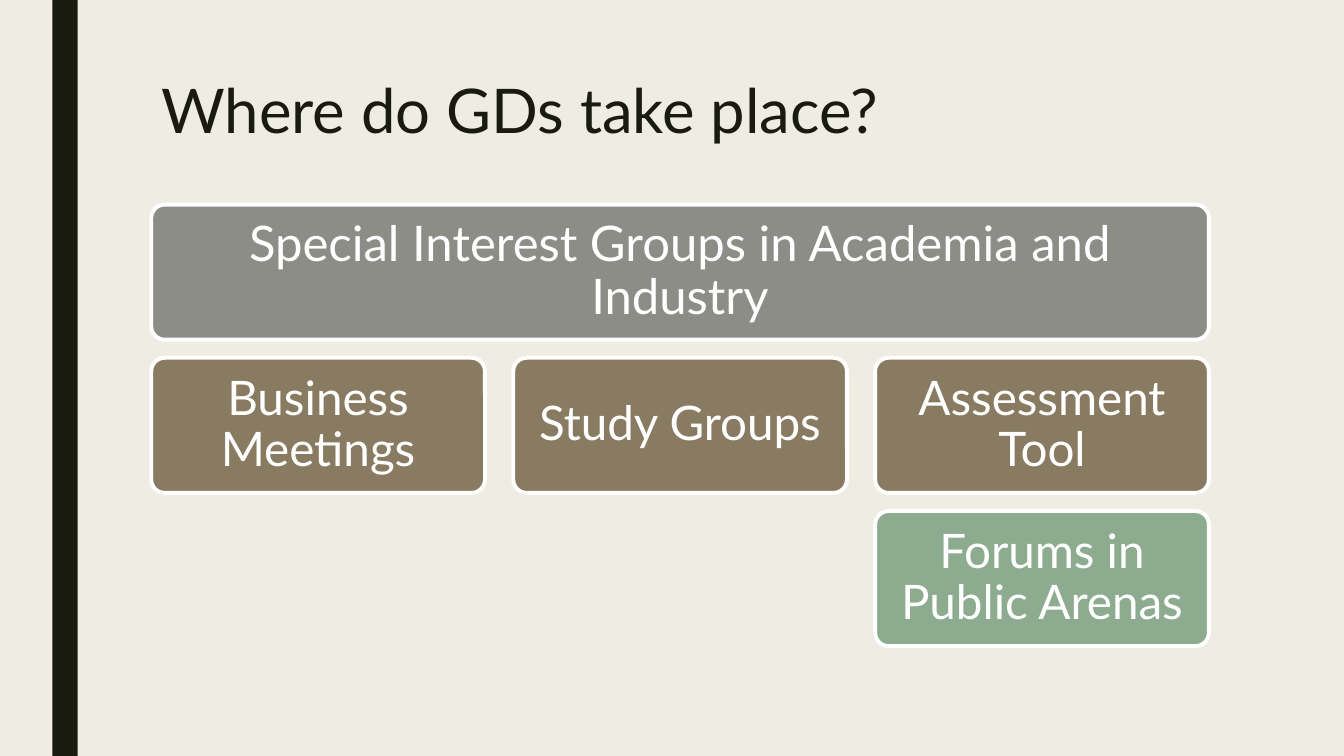
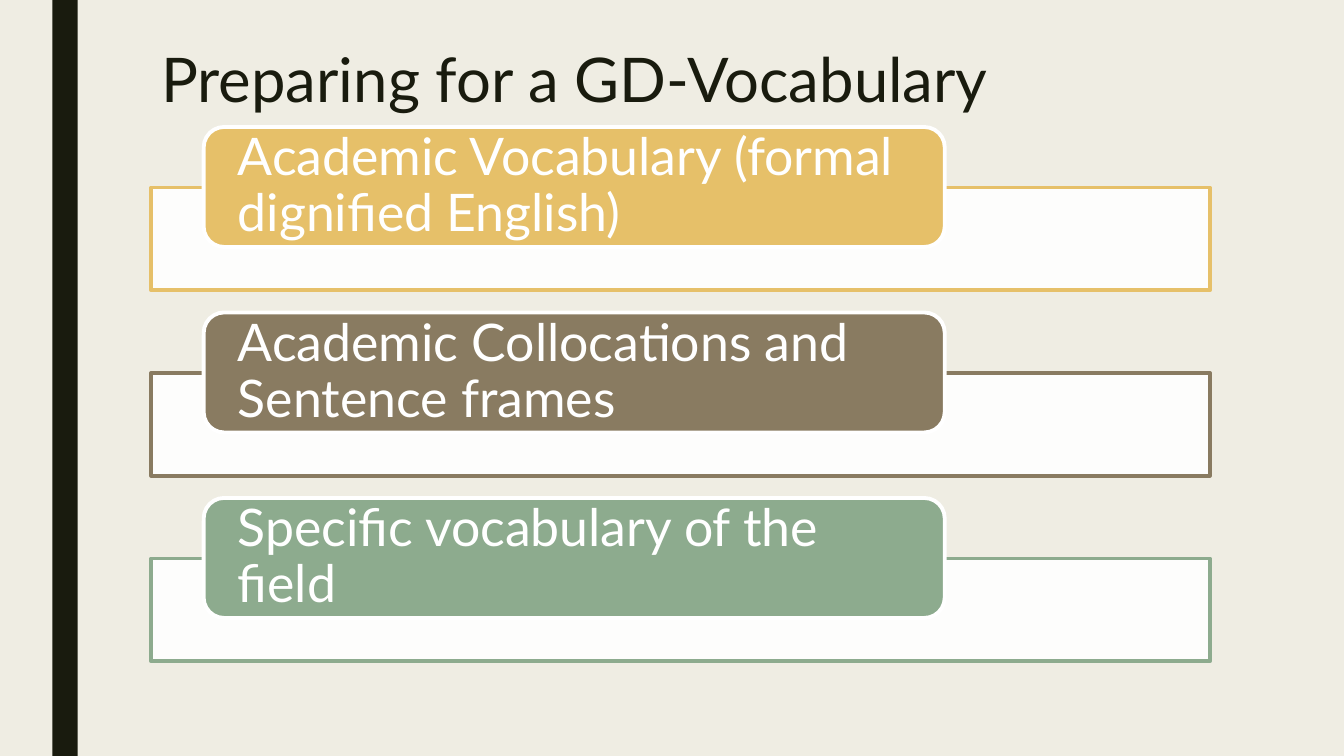
"""Build two slides on where group discussions happen and how to prepare vocabulary."""
import pptx
import pptx.dml.color
import pptx.enum.shapes
import pptx.enum.text
import pptx.oxml.ns
import pptx.util
import lxml.etree

Inches = pptx.util.Inches
Pt = pptx.util.Pt
RGBColor = pptx.dml.color.RGBColor
SHAPE = pptx.enum.shapes.MSO_SHAPE
ALIGN = pptx.enum.text.PP_ALIGN
ANCHOR = pptx.enum.text.MSO_ANCHOR

CREAM = RGBColor(0xEF, 0xED, 0xE3)
INK = RGBColor(0x19, 0x1B, 0x0E)
WHITE = RGBColor(0xFF, 0xFF, 0xFF)
GREY = RGBColor(0x8C, 0x8D, 0x86)
BROWN = RGBColor(0x89, 0x7B, 0x61)
GREEN = RGBColor(0x8D, 0xAB, 0x8E)
GOLD = RGBColor(0xE6, 0xC0, 0x69)
FONT = "Lato"

PLACES_TITLE = "Where do GDs take place?"
PLACES = [
    ("Special Interest Groups in Academia and Industry", 0, 0, 3, GREY, 35),
    ("Business Meetings", 1, 0, 1, BROWN, 34),
    ("Study Groups", 1, 1, 1, BROWN, 34),
    ("Assessment Tool", 1, 2, 1, BROWN, 34),
    ("Forums in Public Arenas", 2, 2, 1, GREEN, 34),
]
VOCABULARY_TITLE = "Preparing for a GD-Vocabulary"
VOCABULARY = [
    ("Academic Vocabulary (formal dignified English)", GOLD),
    ("Academic Collocations and Sentence frames", BROWN),
    ("Specific vocabulary of the field", GREEN),
]

LEFT = 1.5
TILE_WIDTH, TILE_HEIGHT = 3.31, 1.34
COLUMN_STEP, ROW_STEP, TILES_TOP = 3.59, 1.52, 2.03
PANEL_TOP, PANEL_STEP = 1.86, 1.84
LABEL_RISE = 0.6


def apply_format(target, values):
    """Set every attribute named in a dict of format values."""
    for name, value in values.items():
        setattr(target, name, value)


def write(shape, text, size, color, frame_format, paragraph_format):
    """Put one formatted paragraph into a shape."""
    frame = shape.text_frame
    frame.text = text
    apply_format(frame, {"word_wrap": True, **frame_format})
    paragraph = frame.paragraphs[0]
    apply_format(paragraph, paragraph_format)
    apply_format(paragraph.runs[0].font, {"name": FONT, "size": Pt(size)})
    paragraph.runs[0].font.color.rgb = color


def add_block(slide, kind, place, fill, line=None):
    """Add a flat filled shape with an optional outline."""
    block = slide.shapes.add_shape(kind, *map(Inches, place))
    block.shadow.inherit = False
    block.fill.solid()
    block.fill.fore_color.rgb = fill
    if line is None:
        block.line.fill.background()
    else:
        block.line.color.rgb = line
        block.line.width = Pt(2.75)
    return block


def add_label(slide, place, fill, text, size, insets, align, corner):
    """Add a rounded, white-edged block with white text."""
    label = add_block(slide, SHAPE.ROUNDED_RECTANGLE, place, fill, WHITE)
    label.adjustments[0] = corner
    side, end = map(Inches, insets)
    frame_format = {"vertical_anchor": ANCHOR.MIDDLE, "margin_left": side,
                    "margin_right": side, "margin_top": end, "margin_bottom": end}
    write(label, text, size, WHITE, frame_format,
          {"alignment": align, "line_spacing": 0.9})


def add_titled_slide(deck, text, top, height):
    """Add a slide with the shared title style."""
    slide = deck.slides.add_slide(deck.slide_layouts[5])
    title = slide.shapes.title
    apply_format(title, {"left": Inches(LEFT), "top": Inches(top),
                         "width": Inches(10.5), "height": Inches(height)})
    write(title, text, 44, INK, {"vertical_anchor": ANCHOR.TOP},
          {"alignment": ALIGN.LEFT, "line_spacing": 0.89})
    return slide


def style_master(deck, slide):
    """Give the master its background and its dark side band."""
    master = deck.slide_master
    master.background.fill.solid()
    master.background.fill.fore_color.rgb = CREAM
    band = add_block(slide, SHAPE.RECTANGLE, (0.52, 0, 0.25, 7.5), INK)
    master.shapes.element.insert(2, band.element)


def build_places(slide):
    """Lay the places out on a three-column grid."""
    for text, row, column, span, fill, size in PLACES:
        place = (LEFT + column * COLUMN_STEP, TILES_TOP + row * ROW_STEP,
                 TILE_WIDTH + (span - 1) * COLUMN_STEP, TILE_HEIGHT)
        add_label(slide, place, fill, text, size, (0.14, 0.14), ALIGN.CENTER, 0.1)


def build_vocabulary(slide):
    """Stack outlined panels, each with a label over its top edge."""
    for index, (text, color) in enumerate(VOCABULARY):
        top = PANEL_TOP + index * PANEL_STEP
        panel = add_block(slide, SHAPE.RECTANGLE, (LEFT, top, 10.5, 1.02), WHITE, color)
        tint = panel.element.spPr.find(pptx.oxml.ns.qn("a:solidFill"))[0]
        lxml.etree.SubElement(tint, pptx.oxml.ns.qn("a:alpha"), val="90000")
        add_label(slide, (2.02, top - LABEL_RISE, 7.35, 1.19), color, text, 37,
                  (0.28, 0), ALIGN.LEFT, 0.17)


def main():
    """Build and save the deck."""
    deck = pptx.Presentation()
    deck.slide_width, deck.slide_height = Inches(13.33), Inches(7.5)
    places = add_titled_slide(deck, PLACES_TITLE, 0.75, 0.87)
    style_master(deck, places)
    build_places(places)
    build_vocabulary(add_titled_slide(deck, VOCABULARY_TITLE, 0.44, 0.77))
    deck.save("out.pptx")


main()
